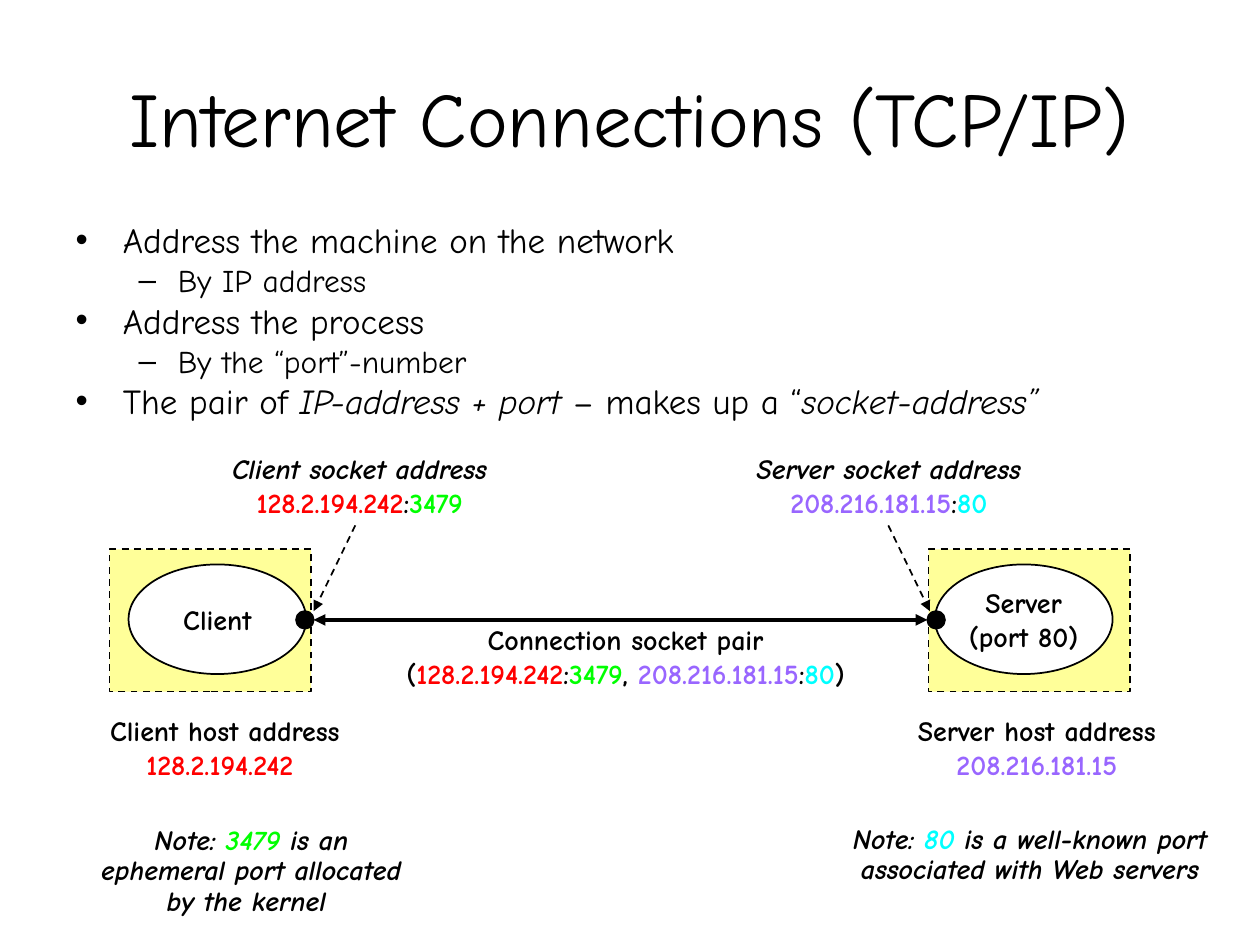
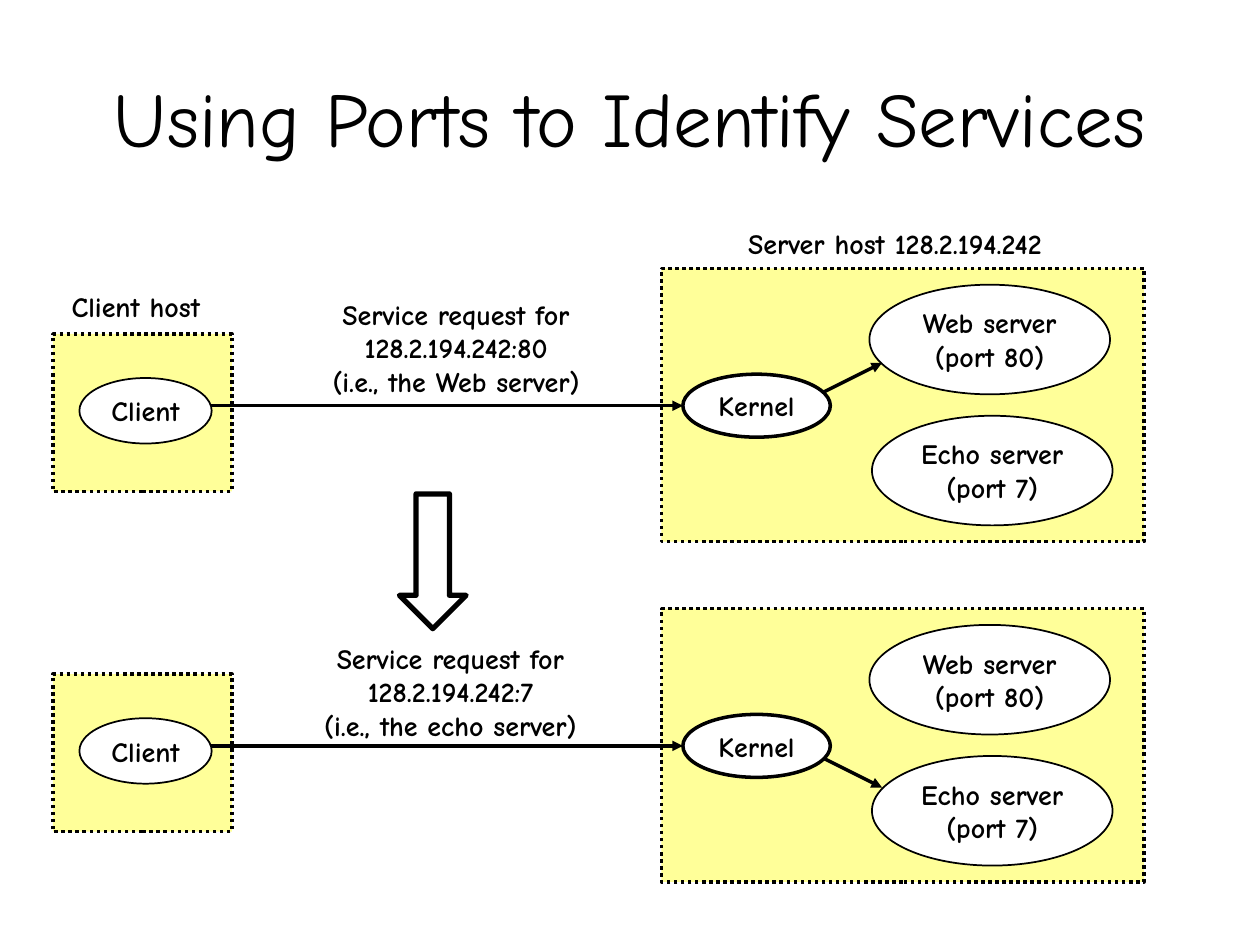
"""Build two slides on Internet connections and on ports that identify services."""
from lxml import etree
from pptx import Presentation
from pptx.dml.color import RGBColor
from pptx.enum.dml import MSO_LINE
from pptx.enum.shapes import MSO_CONNECTOR, MSO_SHAPE
from pptx.enum.text import MSO_ANCHOR, MSO_AUTO_SIZE, PP_ALIGN
from pptx.oxml.ns import qn
from pptx.util import Inches, Pt

RECT, ELLIPSE, DOWN_ARROW = MSO_SHAPE.RECTANGLE, MSO_SHAPE.OVAL, MSO_SHAPE.DOWN_ARROW
STRAIGHT = MSO_CONNECTOR.STRAIGHT
DASH, DOT = MSO_LINE.DASH, MSO_LINE.ROUND_DOT
LEFT, CENTER = PP_ALIGN.LEFT, PP_ALIGN.CENTER
TOP, MIDDLE = MSO_ANCHOR.TOP, MSO_ANCHOR.MIDDLE
NO_AUTOFIT = MSO_AUTO_SIZE.NONE
TITLE_CONTENT, TITLE_ONLY = 1, 5

FONT = "Comic Neue"
BLACK, WHITE, HOST_FILL = "000000", "FFFFFF", "FFFF99"
CLIENT_IP = ("128.2.194.242", "FF0000")
CLIENT_PORT = ("3479", "00FF00")
SERVER_IP = ("208.216.181.15", "9966FF")
SERVER_PORT = ("80", "00FFFF")
CLIENT_SOCKET = [CLIENT_IP, ":", CLIENT_PORT]
SERVER_SOCKET = [SERVER_IP, ":", SERVER_PORT]
ROW_STEP = 2.7


def rgb(color):
    """Return the colour of a hex string."""
    return RGBColor.from_string(color)


def place(sp, box):
    """Move a shape to a box of left, top, width and height in inches."""
    sp.left, sp.top, sp.width, sp.height = map(Inches, box)


def style_run(r, size, color=BLACK, bold=False, italic=False):
    """Format one run in the shared font."""
    r.font.name, r.font.size = FONT, Pt(size)
    r.font.bold, r.font.italic = bold, italic
    r.font.color.rgb = rgb(color)


def write_lines(tf, lines, italic_lines=0, align=CENTER, spacing=None):
    """Write bold label lines; each is a string or a list of strings and (text, colour)."""
    for i, line in enumerate(lines):
        p = tf.paragraphs[0] if i == 0 else tf.add_paragraph()
        p.alignment = align
        if spacing:
            p.line_spacing = spacing
        for part in [line] if isinstance(line, str) else line:
            text, color = (part, BLACK) if isinstance(part, str) else part
            r = p.add_run()
            r.text = text
            style_run(r, 16, color, True, i < italic_lines)


def add_label(slide, box, lines, anchor=MIDDLE, **text_style):
    """Add a text box with label lines."""
    sp = slide.shapes.add_textbox(*map(Inches, box))
    tf = sp.text_frame
    tf.word_wrap, tf.vertical_anchor = False, anchor
    write_lines(tf, lines, **text_style)


def add_node(slide, kind, box, fill=WHITE, width=1, dash=None, lines=()):
    """Add an outlined preset shape, with optional label lines."""
    sp = slide.shapes.add_shape(kind, *map(Inches, box))
    sp.shadow.inherit = False
    if fill:
        sp.fill.solid()
        sp.fill.fore_color.rgb = rgb(fill)
    else:
        sp.fill.background()
    sp.line.color.rgb = rgb(BLACK)
    sp.line.width = Pt(width)
    if dash:
        sp.line.dash_style = dash
    if lines:
        tf = sp.text_frame
        tf.word_wrap, tf.vertical_anchor = False, MIDDLE
        tf.margin_left = tf.margin_right = tf.margin_top = tf.margin_bottom = 0
        write_lines(tf, lines)
    return sp


def add_arrow(slide, start, end, width, dash=None, ends=("tailEnd",)):
    """Add a straight arrow between two points."""
    line = slide.shapes.add_connector(STRAIGHT, *map(Inches, start + end))
    line.line.color.rgb = rgb(BLACK)
    line.line.width = Pt(width)
    if dash:
        line.line.dash_style = dash
    ln = line.line._get_or_add_ln()
    for name in ends:
        etree.SubElement(ln, qn("a:" + name), type="triangle")
    etree.SubElement(line._element.spPr, qn("a:effectLst"))


def add_titled_slide(prs, layout, title):
    """Add a slide with the shared title style."""
    slide = prs.slides.add_slide(prs.slide_layouts[layout])
    sp = slide.shapes.title
    place(sp, (0.5, 0.3, 9, 1.25))
    tf = sp.text_frame
    tf.text = title
    tf.auto_size, tf.vertical_anchor = NO_AUTOFIT, MIDDLE
    tf.paragraphs[0].alignment = CENTER
    style_run(tf.paragraphs[0].runs[0], 44)
    return slide


def fill_body(slide, box, items):
    """Fill the body placeholder with (level, runs); every second run is italic."""
    sp = slide.placeholders[1]
    place(sp, box)
    tf = sp.text_frame
    tf.auto_size = NO_AUTOFIT
    for i, (level, texts) in enumerate(items):
        p = tf.paragraphs[0] if i == 0 else tf.add_paragraph()
        size = 18 if level else 20
        p.level, p.line_spacing = level, 0.8
        p.space_before = Pt(size / 4 if i else 0)
        for n, text in enumerate(texts):
            r = p.add_run()
            r.text = text
            style_run(r, size, italic=n % 2 == 1)


def build_connections(prs):
    """Build the slide on socket addresses."""
    slide = add_titled_slide(prs, TITLE_CONTENT, "Internet Connections (TCP/IP)")
    fill_body(slide, (0.5, 1.75, 9, 2.02), [
        (0, ["Address the machine on the network"]),
        (1, ["By IP address"]),
        (0, ["Address the process"]),
        (1, ["By the “port”-number"]),
        (0, ["The pair of ", "IP-address + port ", "– makes up a “", "socket-address”"]),
    ])
    hosts = [(0.87, 1.02, 2.35, ["Client"]),
             (7.37, 7.42, 7.36, ["Server", "(port 80)"])]
    for host_x, process_x, socket_x, name in hosts:
        add_node(slide, RECT, (host_x, 4.36, 1.6, 1.13), HOST_FILL, dash=DASH)
        add_node(slide, ELLIPSE, (process_x, 4.48, 1.41, 0.87), lines=name)
        add_node(slide, ELLIPSE, (socket_x, 4.85, 0.14, 0.14), BLACK)
    add_arrow(slide, (2.49, 4.92), (7.36, 4.92), 2.25, ends=("headEnd", "tailEnd"))
    add_arrow(slide, (2.82, 4.17), (2.49, 4.85), 1, DASH)
    add_arrow(slide, (7.05, 4.17), (7.38, 4.85), 1, DASH)

    add_label(slide, (3.12, 4.89, 3.69, 0.64),
              ["Connection socket pair", ["(", *CLIENT_SOCKET, ", ", *SERVER_SOCKET, ")"]])
    add_label(slide, (1.74, 3.53, 2.23, 0.64),
              ["Client socket address", CLIENT_SOCKET], italic_lines=1)
    add_label(slide, (5.64, 3.53, 2.83, 0.64),
              ["Server socket address", SERVER_SOCKET], italic_lines=1)
    add_label(slide, (0.77, 5.61, 2.03, 0.64), ["Client host address", [CLIENT_IP, " "]])
    add_label(slide, (7.18, 5.61, 2.1, 0.64), ["Server host address", [SERVER_IP]])
    add_label(slide, (0.7, 6.51, 2.59, 0.82),
              [["Note: ", CLIENT_PORT, " is an"], "ephemeral port allocated", "by the kernel "],
              TOP, italic_lines=3, spacing=0.9)
    add_label(slide, (6.67, 6.5, 3.01, 0.58),
              [["Note: ", SERVER_PORT, " is a well-known port"], "associated with Web servers"],
              TOP, italic_lines=2, spacing=0.9)


def add_request(slide, dy, label_box, port, service, kernel_y, service_y):
    """Add one client request, passed on by the kernel to a service."""
    add_node(slide, RECT, (0.42, 2.65 + dy, 1.42, 1.25), HOST_FILL, 2, DOT)
    add_node(slide, RECT, (5.25, 2.13 + dy, 3.83, 2.17), HOST_FILL, 2, DOT)
    add_node(slide, ELLIPSE, (6.9, 2.26 + dy, 1.91, 0.87), lines=["Web server", "(port 80)"])
    add_node(slide, ELLIPSE, (6.92, 3.3 + dy, 1.91, 0.87), lines=["Echo server", "(port 7)"])
    add_label(slide, label_box,
              ["Service request for", f"128.2.194.242:{port}", f"(i.e., the {service} server)"],
              TOP)
    add_arrow(slide, (1.67, 3.22 + dy), (5.42, 3.22 + dy), 2)
    add_arrow(slide, (6.5, kernel_y), (7, service_y), 2)
    add_node(slide, ELLIPSE, (5.42, 2.97 + dy, 1.17, 0.5), width=2, lines=["Kernel"])
    add_node(slide, ELLIPSE, (0.63, 3 + dy, 1.05, 0.52), lines=["Client"])


def build_ports(prs):
    """Build the slide on ports that identify services."""
    slide = add_titled_slide(prs, TITLE_ONLY, "Using Ports to Identify Services")
    add_request(slide, 0, (2.17, 2.31, 2.9, 0.9), 80, "Web", 3.13, 2.88)
    add_request(slide, ROW_STEP, (2.47, 5.04, 2.21, 0.9), 7, "echo", 6, 6.25)
    add_label(slide, (0.47, 2.25, 1.22, 0.37), ["Client host"], TOP, align=LEFT)
    add_label(slide, (5.84, 1.75, 2.54, 0.37), ["Server host 128.2.194.242"], TOP, align=LEFT)
    add_node(slide, DOWN_ARROW, (3.17, 3.92, 0.53, 1.07), None, 3)


def main():
    """Build and save the presentation."""
    prs = Presentation()
    prs.slide_width, prs.slide_height = Inches(10), Inches(7.5)
    build_connections(prs)
    build_ports(prs)
    prs.save("out.pptx")


if __name__ == "__main__":
    main()
